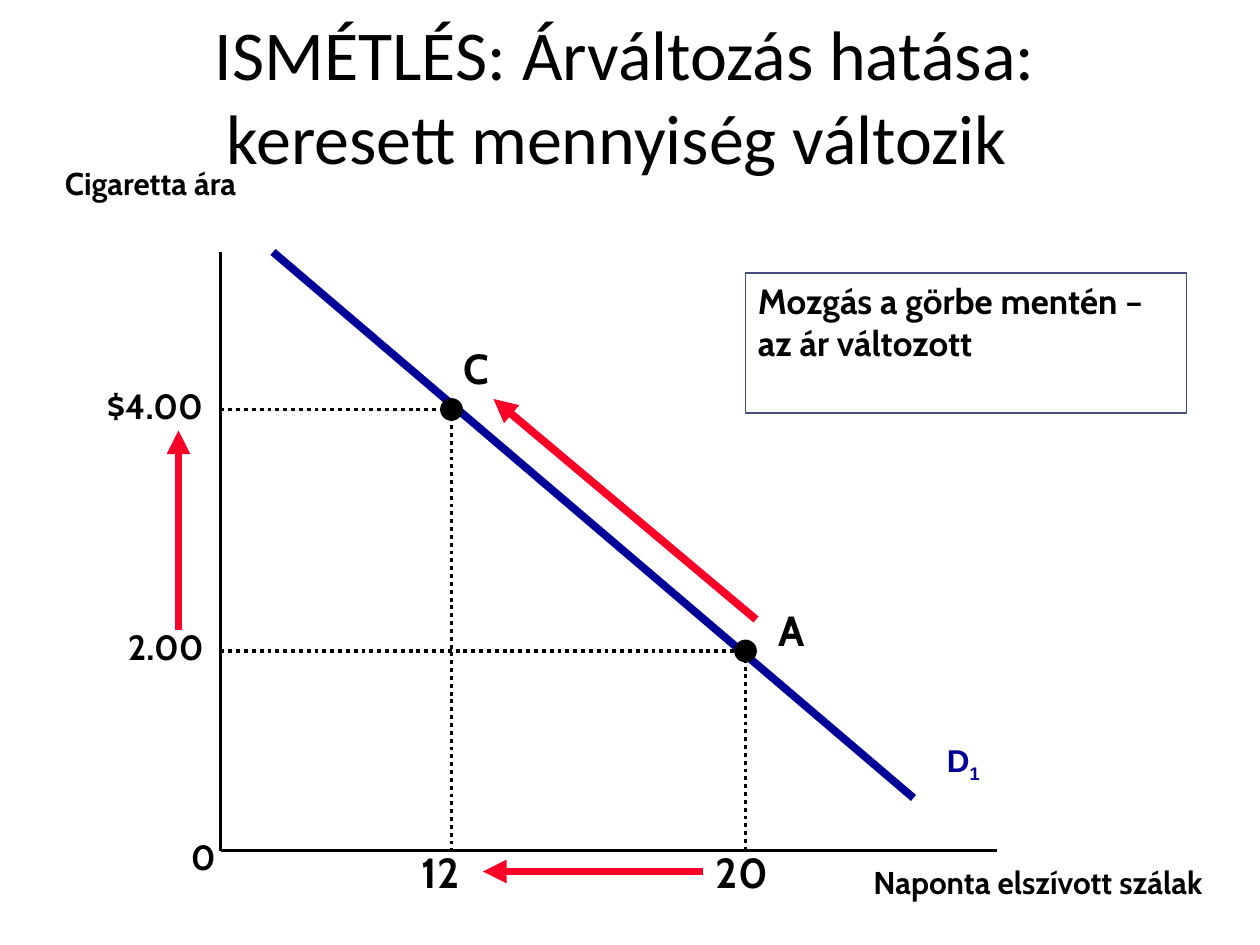
from pptx import Presentation
from pptx.dml.color import RGBColor
from pptx.enum.dml import MSO_LINE
from pptx.enum.shapes import MSO_CONNECTOR, MSO_SHAPE
from pptx.enum.text import MSO_ANCHOR, MSO_AUTO_SIZE, PP_ALIGN
from pptx.oxml.ns import qn
from pptx.util import Pt
from lxml.etree import SubElement

BLACK, BLUE, RED, FRAME = "000000", "000099", "FC0128", "474A81"


def color(value):
    return RGBColor.from_string(value)


class DemandPage:
    def __init__(self, page, font="Cabin"):
        self.page = page
        self.font = font

    def style(self, para, size, fill=BLACK, font=None, bold=True):
        for span in para.runs:
            span.font.name = font or self.font
            span.font.size = Pt(size)
            span.font.bold = bold
            span.font.color.rgb = color(fill)

    def title(self, text, left, top, width, height):
        box = self.page.shapes.title
        box.left, box.top, box.width, box.height = map(Pt, (left, top, width, height))
        box.text_frame.text = text
        box.text_frame.auto_size = MSO_AUTO_SIZE.NONE
        box.text_frame.vertical_anchor = MSO_ANCHOR.MIDDLE
        para = box.text_frame.paragraphs[0]
        para.alignment = PP_ALIGN.CENTER
        self.style(para, 40, font="Calibri", bold=False)

    def label(self, text, left, top, width, height, size, fill=BLACK, font=None):
        box = self.page.shapes.add_textbox(*map(Pt, (left, top, width, height)))
        box.text_frame.word_wrap = True
        box.text_frame.text = text
        para = box.text_frame.paragraphs[0]
        self.style(para, size, fill, font)
        return para

    def subscript(self, para, text, size, fill, font):
        span = para.add_run()
        span.text = text
        self.style(para, size, fill, font)
        span.font._element.set("baseline", "-25000")

    def line(self, start, end, fill=BLACK, width=2.25, dotted=False, arrow=False):
        line = self.page.shapes.add_connector(
            MSO_CONNECTOR.STRAIGHT, *map(Pt, (*start, *end)))
        line.line.color.rgb = color(fill)
        line.line.width = Pt(width)
        if dotted:
            line.line.dash_style = MSO_LINE.ROUND_DOT
        if arrow:
            SubElement(line.line._get_or_add_ln(), qn("a:tailEnd"), type="triangle")
        SubElement(line._element.spPr, qn("a:effectLst"))

    def shape(self, kind, left, top, width, height, fill=None, outline=BLACK):
        shape = self.page.shapes.add_shape(kind, *map(Pt, (left, top, width, height)))
        shape.shadow.inherit = False
        if fill:
            shape.fill.solid()
            shape.fill.fore_color.rgb = color(fill)
        else:
            shape.fill.background()
        shape.line.color.rgb = color(outline)
        shape.line.width = Pt(1)
        return shape

    def dot(self, x, y, size=12):
        self.shape(MSO_SHAPE.OVAL, x - size / 2, y - size / 2, size, size, fill=BLACK)

    def note(self, text, left, top, width, height, size):
        box = self.shape(MSO_SHAPE.RECTANGLE, left, top, width, height, outline=FRAME)
        frame = box.text_frame
        frame.word_wrap = True
        frame.vertical_anchor = MSO_ANCHOR.TOP
        frame.text = text
        frame.paragraphs[0].alignment = PP_ALIGN.LEFT
        self.style(frame.paragraphs[0], size)


def main():
    deck = Presentation()
    deck.slide_width, deck.slide_height = Pt(720), Pt(540)
    chart = DemandPage(deck.slides.add_slide(deck.slide_layouts[5]))
    chart.title("ISMÉTLÉS: Árváltozás hatása: keresett mennyiség változik ",
                51, 9, 612, 90)

    # Axes and demand curve
    axis_x, axis_y = 126, 486
    chart.line((axis_x, 144), (axis_x, axis_y))
    chart.line((axis_x, axis_y), (570, axis_y))
    chart.line((156, 144), (522, 456), BLUE, 4.5)

    # Axis and curve labels
    chart.label("0", 102, 474, 60, 31, 20)
    chart.label("Cigaretta ára", 30, 90, 120, 51, 18)
    chart.label("Naponta elszívott szálak", 492, 489.5, 228, 51, 18)
    curve = chart.label("D", 534, 420, 60, 45, 18, BLUE, "Arial")
    chart.subscript(curve, "1", 18, BLUE, "Arial")

    # Explanation
    chart.note("Mozgás a görbe mentén – az ár változott", 426, 156, 252, 80, 20)

    # Points with dotted guides to both axes
    for x, y in ((426, 372), (258, 234)):
        chart.line((axis_x, y), (x, y), dotted=True)
        chart.line((x, y), (x, axis_y), dotted=True)
        chart.dot(x, y)
    chart.label("A", 438, 342, 24, 36, 24)
    chart.label("C", 258, 192, 42, 36, 24)

    # Prices and quantities
    chart.label("2.00", 66, 354, 72, 31, 20)
    chart.label("$4.00", 54, 216, 72, 31, 20)
    for text, left in (("20", 402), ("12", 234)):
        chart.label(text, left, 480, 54, 36, 24)

    # Arrows of change: along the curve, in price, in quantity
    for start, end in (((432, 354), (282, 228)),
                       ((102, 360), (102, 246)),
                       ((402, 498), (276, 498))):
        chart.line(start, end, RED, 4.5, arrow=True)

    deck.save("out.pptx")


if __name__ == "__main__":
    main()
